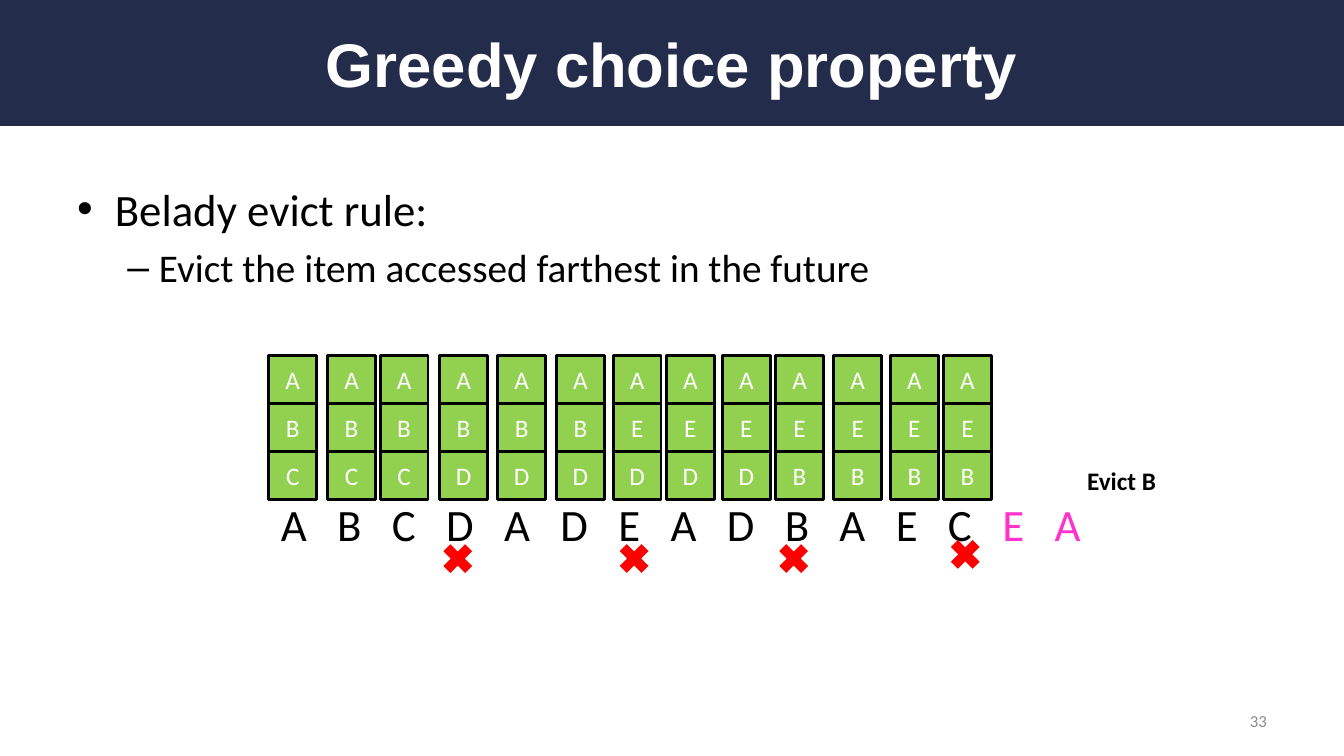
from lxml import etree
from pptx import Presentation
from pptx.dml.color import RGBColor
from pptx.enum.shapes import MSO_SHAPE
from pptx.enum.text import MSO_ANCHOR, PP_ALIGN
from pptx.oxml.ns import qn
from pptx.util import Pt

RECTANGLE, CROSS = MSO_SHAPE.RECTANGLE, MSO_SHAPE.MATH_MULTIPLY
TOP, MIDDLE = MSO_ANCHOR.TOP, MSO_ANCHOR.MIDDLE
LEFT, CENTER, RIGHT = PP_ALIGN.LEFT, PP_ALIGN.CENTER, PP_ALIGN.RIGHT

NAVY = RGBColor(0x23, 0x2D, 0x4B)
WHITE = RGBColor(0xFF, 0xFF, 0xFF)
BLACK = RGBColor(0, 0, 0)
GRAY = RGBColor(0x8C, 0x8C, 0x8C)
GREEN = RGBColor(0x92, 0xD0, 0x50)
RED = RGBColor(0xFF, 0, 0)
PINK = RGBColor(0xFF, 0x33, 0xCC)

# Cache contents (top to bottom) after each request, by left edge
CACHE_STATES = [
    (192, "ABC"), (234, "ABC"), (271.5, "ABC"), (314, "ABD"), (355.5, "ABD"),
    (397.5, "ABD"), (438, "AED"), (476, "AED"), (516, "AED"), (554, "AEB"),
    (595.5, "AEB"), (636, "AEB"), (674, "AEB"),
]
CACHE_TOP = 254.2
CELL = 34.2
MISSES = [(312, 384), (438, 384), (552, 384), (674.5, 381)]
MISS_SIZE = 30

# Requests: tab stops follow the letter widths plus one fixed gap
PAST_REQUESTS = "ABCDADEADBAEC"
FUTURE_REQUESTS = "EA"
LETTER_WIDTHS = {"A": 18.5, "B": 17.4, "C": 17.1, "D": 19.7, "E": 15.6}
REQUEST_GAP = 21.7


def add_run(paragraph, text, size, color, bold=False, font="Calibri"):
    run = paragraph.add_run()
    run.text = text
    run.font.name = font
    run.font.size = Pt(size)
    run.font.bold = bold
    run.font.color.rgb = color


def add_text_box(slide, left, top, width, height, anchor=TOP, align=LEFT):
    frame = slide.shapes.add_textbox(Pt(left), Pt(top), Pt(width), Pt(height)).text_frame
    frame.word_wrap = True
    frame.vertical_anchor = anchor
    frame.paragraphs[0].alignment = align
    return frame


def add_plain_shape(shapes, kind, left, top, width, height, fill):
    shape = shapes.add_shape(kind, Pt(left), Pt(top), Pt(width), Pt(height))
    shape.shadow.inherit = False
    shape.fill.solid()
    shape.fill.fore_color.rgb = fill
    shape.line.fill.background()
    return shape


def add_bullet(paragraph, bullet, margin, hanging, text, size):
    properties = paragraph._p.get_or_add_pPr()
    properties.set("marL", str(Pt(margin)))
    properties.set("indent", str(-Pt(hanging)))
    etree.SubElement(properties, qn("a:buFont"), typeface="Arial")
    etree.SubElement(properties, qn("a:buChar"), char=bullet)
    add_run(paragraph, text, size, BLACK)


def add_title(slide, text):
    title = slide.shapes.title
    title.left, title.top, title.width, title.height = Pt(48), Pt(12), Pt(864), Pt(66)
    frame = title.text_frame
    frame.vertical_anchor = MIDDLE
    frame.paragraphs[0].alignment = CENTER
    add_run(frame.paragraphs[0], text, 44, WHITE, bold=True, font="Arial")


def add_cache_column(slide, left, items):
    column = slide.shapes.add_group_shape()
    for row, item in enumerate(items):
        cell = add_plain_shape(column.shapes, RECTANGLE, left,
                               CACHE_TOP + row * CELL, CELL, CELL, GREEN)
        cell.line.color.rgb = BLACK
        cell.line.width = Pt(2)
        frame = cell.text_frame
        frame.vertical_anchor = MIDDLE
        frame.paragraphs[0].alignment = CENTER
        add_run(frame.paragraphs[0], item, 18, WHITE)


def add_requests(slide):
    paragraph = add_text_box(slide, 193.5, 351.4, 592.6, 46).paragraphs[0]
    tab_list = etree.SubElement(paragraph._p.get_or_add_pPr(), qn("a:tabLst"))
    position = 0
    for letter in (PAST_REQUESTS + FUTURE_REQUESTS)[:-1]:
        position += LETTER_WIDTHS[letter] + REQUEST_GAP
        etree.SubElement(tab_list, qn("a:tab"), pos=str(Pt(position)), algn="l")
    add_run(paragraph, "\t".join(PAST_REQUESTS) + "\t", 32, BLACK)
    add_run(paragraph, "\t".join(FUTURE_REQUESTS), 32, PINK)


def main():
    presentation = Presentation()
    presentation.slide_width, presentation.slide_height = Pt(960), Pt(540)
    slide = presentation.slides.add_slide(presentation.slide_layouts[5])

    # Title band, placed behind the title
    band = add_plain_shape(slide.shapes, RECTANGLE, 0, 0, 960, 90, NAVY)
    slide.shapes.title._element.addprevious(band._element)
    add_title(slide, "Greedy choice property")

    # Evict rule
    body = add_text_box(slide, 48, 126, 864, 356.4)
    add_bullet(body.paragraphs[0], "•", 27, 27, "Belady evict rule:", 32)
    rule = body.add_paragraph()
    rule.level = 1
    rule.space_before = Pt(5.6)
    add_bullet(rule, "–", 58.5, 22.5,
               "Evict the item accessed farthest in the future", 28)

    # Requests, cache states and misses
    add_requests(slide)
    for left, items in CACHE_STATES:
        add_cache_column(slide, left, items)
    for left, top in MISSES:
        add_plain_shape(slide.shapes, CROSS, left, top, MISS_SIZE, MISS_SIZE, RED)

    # Eviction label and slide number
    label = add_text_box(slide, 769.5, 328.5, 83, 29)
    add_run(label.paragraphs[0], "Evict B", 18, BLACK, bold=True)
    number = add_text_box(slide, 688, 500.5, 224, 28.8, MIDDLE, RIGHT)
    add_run(number.paragraphs[0], "33", 12, GRAY)

    presentation.save("out.pptx")


if __name__ == "__main__":
    main()
